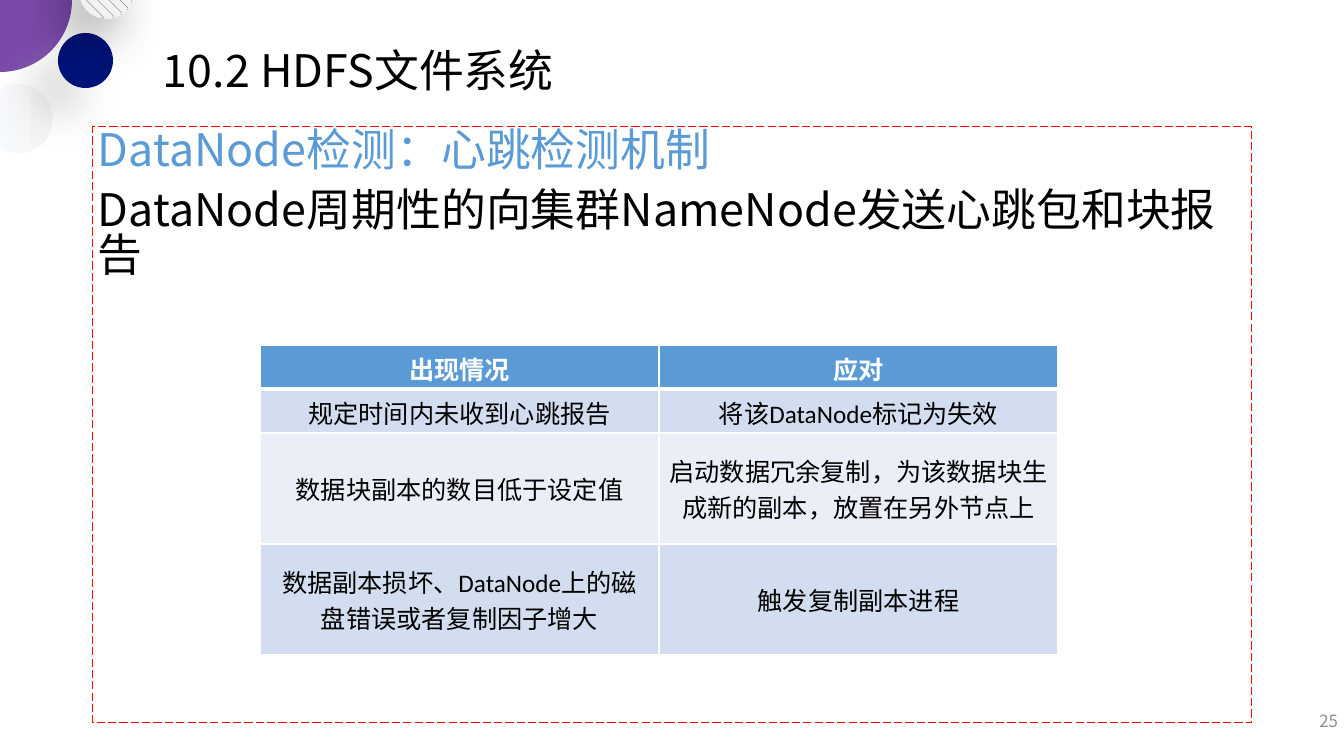
from dataclasses import dataclass

from lxml import etree
from pptx import Presentation
from pptx.dml.color import RGBColor
from pptx.enum.dml import MSO_LINE, MSO_PATTERN
from pptx.enum.shapes import MSO_SHAPE
from pptx.enum.text import MSO_ANCHOR, PP_ALIGN
from pptx.oxml import parse_xml
from pptx.oxml.ns import nsdecls, qn
from pptx.util import Pt

OVAL, RECT = MSO_SHAPE.OVAL, MSO_SHAPE.RECTANGLE
LEFT, CENTER, RIGHT = PP_ALIGN.LEFT, PP_ALIGN.CENTER, PP_ALIGN.RIGHT
TOP, MIDDLE = MSO_ANCHOR.TOP, MSO_ANCHOR.MIDDLE
LONG_DASH, SHINGLE = MSO_LINE.LONG_DASH, MSO_PATTERN.SHINGLE

SLIDE_W, SLIDE_H = 1344, 756
EMU_PER_PX = 12192000 / SLIDE_W


@dataclass(frozen=True)
class Theme:
    font: str = "Noto Sans CJK SC"
    latin: str = "Calibri"
    ink: str = "000000"
    white: str = "FFFFFF"
    accent: str = "5B9BD5"
    band_dark: str = "D2DEEF"
    band_light: str = "EAEFF7"
    frame: str = "FF0000"
    page: str = "8C8C8C"
    purple: str = "7A4AAA"
    navy: str = "001279"
    mist: tuple = ("F7FAFD", "F4F5F7")
    hatch: tuple = ("404040", "F2F2F2")
    navy_shadow: str = "AFABAB"
    heading_pt: int = 32
    table_pt: int = 18
    page_pt: int = 12


THEME = Theme()

# Each cell is a list of (text, latin font) runs
ROWS = [
    [[("出现情况", None)], [("应对", None)]],
    [[("规定时间内未收到心跳报告", None)],
     [("将该", None), ("DataNode标记为失效", THEME.latin)]],
    [[("数据块副本的数目低于设定值", None)],
     [("启动数据冗余复制，为该数据块生成新的副本，放置在另外节点上", None)]],
    [[("数据副本损坏、", None), ("DataNode上的磁盘错误或者复制因子增大", THEME.latin)],
     [("触发复制副本进程", None)]],
]
ROW_HEIGHTS = [44, 44, 111, 111]


def px(length):
    return round(length * EMU_PER_PX)


def rgb(value):
    return RGBColor.from_string(value)


def style(paragraph, size, color, align=LEFT, bold=False):
    paragraph.alignment = align
    font = paragraph.font
    font.size, font.bold = Pt(size), bold
    font.color.rgb = rgb(color)
    font.name = THEME.font
    etree.SubElement(font._rPr, qn("a:ea"), typeface=THEME.font)


def prepare_frame(frame, anchor):
    frame.word_wrap = True
    frame.vertical_anchor = anchor
    frame.margin_left = frame.margin_right = px(5)
    frame.margin_top = frame.margin_bottom = px(3)
    return frame


def add_label(slide, box, text, size, color, align=LEFT):
    label = slide.shapes.add_textbox(*map(px, box))
    paragraph = prepare_frame(label.text_frame, MIDDLE).paragraphs[0]
    paragraph.text = text
    style(paragraph, size, color, align)
    return paragraph


def cast_shadow(shape, color, alpha, blur, distance):
    shape._element.spPr.find(qn("a:effectLst")).append(parse_xml(
        f'<a:outerShdw {nsdecls("a")} blurRad="{Pt(blur)}" dist="{Pt(distance)}" '
        f'dir="8100000" algn="tr" rotWithShape="0"><a:srgbClr val="{color}">'
        f'<a:alpha val="{alpha * 1000}"/></a:srgbClr></a:outerShdw>'))


def add_corner_circles(slide, box):
    x, y = box

    def circle(left, top, size):
        shape = slide.shapes.add_shape(OVAL, *map(px, (x + left, y + top, size, size)))
        shape.shadow.inherit = False
        shape.line.fill.background()
        return shape

    purple = circle(-72, -72, 144)
    purple.fill.solid()
    purple.fill.fore_color.rgb = rgb(THEME.purple)

    mist = circle(-16, 84, 69)
    mist.fill.gradient()
    for stop, color in zip(mist.fill.gradient_stops, THEME.mist):
        stop.color.rgb = rgb(color)
    mist.fill.gradient_angle = 0

    navy = circle(58, 33, 55)
    navy.fill.solid()
    navy.fill.fore_color.rgb = rgb(THEME.navy)
    cast_shadow(navy, THEME.navy_shadow, 40, 27, 29)

    # Hatched disc: a shadowed base under a slightly smaller top
    base, top = circle(79, -37, 56), circle(80, -36, 54)
    for disc in (base, top):
        disc.rotation = 11.1
        disc.fill.patterned()
        disc.fill.pattern = SHINGLE
        disc.fill.fore_color.rgb, disc.fill.back_color.rgb = map(rgb, THEME.hatch)
    cast_shadow(base, THEME.ink, 40, 38, 19)


def add_body(slide, box):
    body = slide.shapes.add_shape(RECT, *map(px, box))
    body.shadow.inherit = False
    body.fill.background()
    body.line.color.rgb = rgb(THEME.frame)
    body.line.width = Pt(0.75)
    body.line.dash_style = LONG_DASH
    frame = prepare_frame(body.text_frame, TOP)
    heading, statement = frame.paragraphs[0], frame.add_paragraph()
    heading.text = "DataNode检测：心跳检测机制"
    statement.text = "DataNode周期性的向集群NameNode发送心跳包和块报告"
    statement.space_before = Pt(10)
    for paragraph, color in ((heading, THEME.accent), (statement, THEME.ink)):
        paragraph.line_spacing = 0.85
        style(paragraph, THEME.heading_pt, color)


def add_borders(cell, header_above, is_header):
    widths = {"L": 1, "R": 1, "T": 3 if header_above else 1, "B": 3 if is_header else 1}
    for side, width in widths.items():
        cell._tc.get_or_add_tcPr().append(parse_xml(
            f'<a:ln{side} {nsdecls("a")} w="{Pt(width)}"><a:solidFill>'
            f'<a:srgbClr val="{THEME.white}"/></a:solidFill></a:ln{side}>'))


def add_response_table(slide, box):
    table = slide.shapes.add_table(len(ROWS), len(ROWS[0]), *map(px, box)).table
    for column in table.columns:
        column.width = px(box[2] / len(ROWS[0]))
    for r, (row, height) in enumerate(zip(ROWS, ROW_HEIGHTS)):
        table.rows[r].height = px(height)
        is_header = r == 0
        fill = THEME.accent if is_header else (THEME.band_light, THEME.band_dark)[r % 2]
        for c, runs in enumerate(row):
            cell = table.cell(r, c)
            cell.vertical_anchor = MIDDLE
            add_borders(cell, r == 1, is_header)
            cell.fill.solid()
            cell.fill.fore_color.rgb = rgb(fill)
            paragraph = cell.text_frame.paragraphs[0]
            style(paragraph, THEME.table_pt, THEME.white if is_header else THEME.ink,
                  CENTER, is_header)
            for text, latin in runs:
                run = paragraph.add_run()
                run.text = text
                if latin:
                    run.font.name = latin


def build_slide(deck):
    slide = deck.slides.add_slide(deck.slide_layouts[6])
    add_corner_circles(slide, (0, 0))
    title = add_label(slide, (158, 40, 1094, 67), "10.2 HDFS文件系统",
                      THEME.heading_pt, THEME.ink)
    title.line_spacing = 0.9
    add_body(slide, (93, 127, 1159, 596))
    add_label(slide, (1041, 701, 302, 40), "25", THEME.page_pt, THEME.page, RIGHT)
    add_response_table(slide, (260, 345, 798, sum(ROW_HEIGHTS)))


def main():
    deck = Presentation()
    deck.slide_width, deck.slide_height = px(SLIDE_W), px(SLIDE_H)
    build_slide(deck)
    deck.save("out.pptx")


if __name__ == "__main__":
    main()
